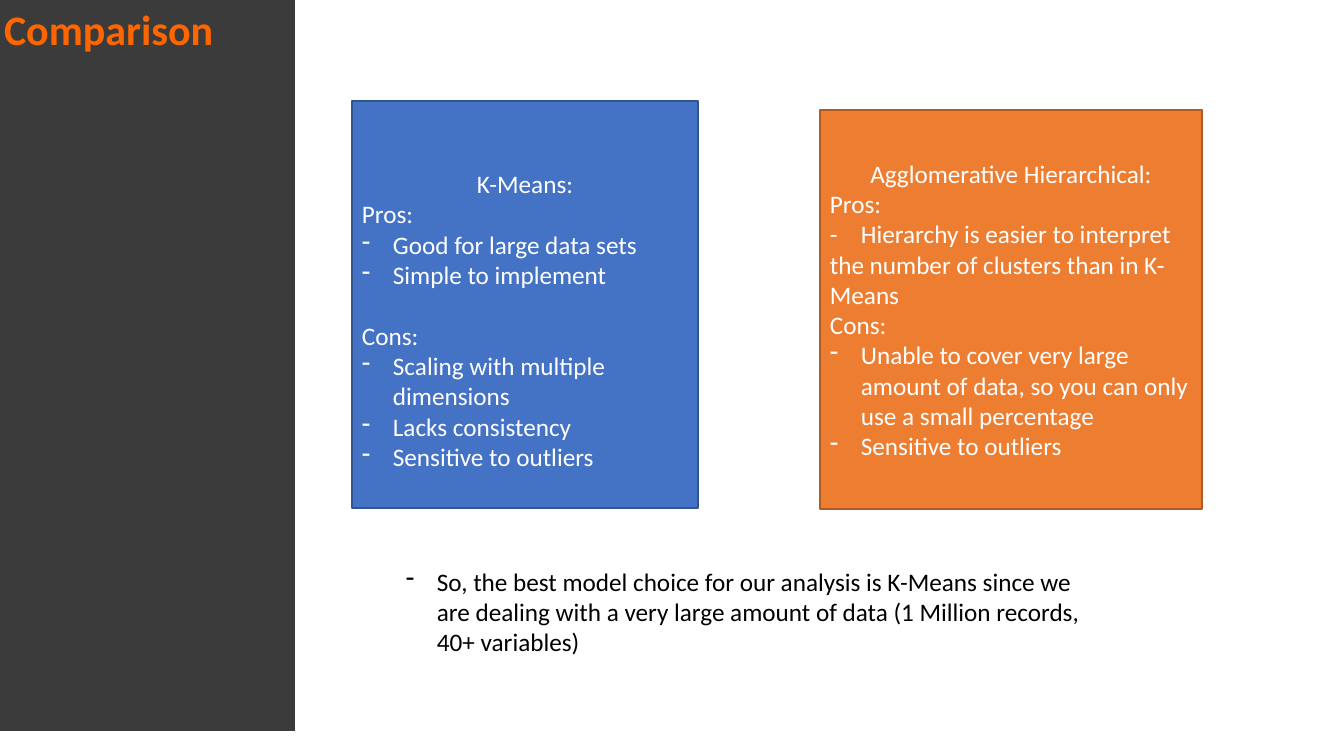
from lxml import etree
from pptx import Presentation
from pptx.dml.color import RGBColor
from pptx.enum.shapes import MSO_SHAPE
from pptx.enum.text import MSO_ANCHOR, MSO_AUTO_SIZE, PP_ALIGN
from pptx.oxml.ns import qn
from pptx.util import Emu, Pt

RECTANGLE = MSO_SHAPE.RECTANGLE
TOP, MIDDLE = MSO_ANCHOR.TOP, MSO_ANCHOR.MIDDLE
LEFT, CENTER = PP_ALIGN.LEFT, PP_ALIGN.CENTER
NO_AUTOFIT = MSO_AUTO_SIZE.NONE
TITLE_ONLY = 5
EMU_PER_PX = 914400 / 100.8
INDENT = 31
BLANK_LINE = 22

# Each line is a kind and its text.
K_MEANS = [
    ("heading", "K-Means:"),
    ("plain", "Pros:"),
    ("bullet", "Good for large data sets"),
    ("bullet", "Simple to implement"),
    ("spaced", "Cons:"),
    ("bullet", "Scaling with multiple dimensions"),
    ("bullet", "Lacks consistency"),
    ("bullet", "Sensitive to outliers"),
]
HIERARCHICAL = [
    ("heading", "Agglomerative Hierarchical:"),
    ("plain", "Pros:"),
    ("tabbed", "-\tHierarchy is easier to interpret the number of clusters than in K-Means"),
    ("plain", "Cons:"),
    ("bullet", "Unable to cover very large amount of data, so you can only use a small percentage"),
    ("bullet", "Sensitive to outliers"),
]
CONCLUSION = [
    ("bullet", "So, the best model choice for our analysis is K-Means since we are dealing "
               "with a very large amount of data (1 Million records, 40+ variables)"),
]


def px(length):
    return Emu(round(length * EMU_PER_PX))


def color(value):
    return RGBColor.from_string(value)


class SlideBuilder:
    font = "Calibri"
    body_size = 18

    def __init__(self, presentation):
        self.slide = presentation.slides.add_slide(presentation.slide_layouts[TITLE_ONLY])

    def format_runs(self, paragraph, size, font_color, bold=False):
        for run in paragraph.runs:
            run.font.name = self.font
            run.font.size = Pt(size)
            run.font.bold = bold
            run.font.color.rgb = color(font_color)

    def add_bullet(self, paragraph):
        properties = paragraph._p.get_or_add_pPr()
        properties.set("marL", str(px(INDENT)))
        properties.set("indent", str(-px(INDENT)))
        etree.SubElement(properties, qn("a:buChar"), char="-")

    def add_tab_stop(self, paragraph):
        tabs = etree.SubElement(paragraph._p.get_or_add_pPr(), qn("a:tabLst"))
        etree.SubElement(tabs, qn("a:tab"), pos=str(px(INDENT)), algn="l")

    def fill_text(self, text_frame, lines, font_color):
        text_frame.word_wrap = True
        text_frame.text = "\n".join(text for _, text in lines)
        for paragraph, (kind, _) in zip(text_frame.paragraphs, lines):
            paragraph.alignment = CENTER if kind == "heading" else LEFT
            if kind == "spaced":
                paragraph.space_before = Pt(BLANK_LINE)
            elif kind == "bullet":
                self.add_bullet(paragraph)
            elif kind == "tabbed":
                self.add_tab_stop(paragraph)
            self.format_runs(paragraph, self.body_size, font_color)

    def title_sidebar(self, text, width, height, fill, font_color):
        """Turn the title placeholder into a filled band on the left."""
        title = self.slide.shapes.title
        title.left, title.top = px(0), px(0)
        title.width, title.height = px(width), px(height)
        title.fill.solid()
        title.fill.fore_color.rgb = color(fill)
        text_frame = title.text_frame
        text_frame.text = text
        text_frame.auto_size = NO_AUTOFIT
        text_frame.vertical_anchor = TOP
        text_frame.margin_left, text_frame.margin_top = px(4), px(9)
        paragraph = text_frame.paragraphs[0]
        paragraph.alignment = LEFT
        paragraph.line_spacing = 0.9
        self.format_runs(paragraph, 30, font_color, bold=True)

    def card(self, box, lines, fill, outline, margin_top=5):
        shape = self.slide.shapes.add_shape(RECTANGLE, *map(px, box))
        shape.shadow.inherit = False
        shape.fill.solid()
        shape.fill.fore_color.rgb = color(fill)
        shape.line.color.rgb = color(outline)
        shape.line.width = Pt(1)
        shape.text_frame.vertical_anchor = MIDDLE
        shape.text_frame.margin_top = px(margin_top)
        self.fill_text(shape.text_frame, lines, "FFFFFF")

    def note(self, box, lines):
        shape = self.slide.shapes.add_textbox(*map(px, box))
        self.fill_text(shape.text_frame, lines, "000000")


def main():
    presentation = Presentation()
    presentation.slide_width, presentation.slide_height = px(1344), px(756)
    builder = SlideBuilder(presentation)
    builder.title_sidebar("Comparison", 295, 731, "3B3B3B", "FF6600")
    builder.card((820, 110, 382, 399), HIERARCHICAL, "ED7D31", "AF5C24")
    builder.note((396, 561, 703, 102), CONCLUSION)
    builder.card((352, 101, 346, 407), K_MEANS, "4472C4", "325491", margin_top=36)
    presentation.save("out.pptx")


if __name__ == "__main__":
    main()
